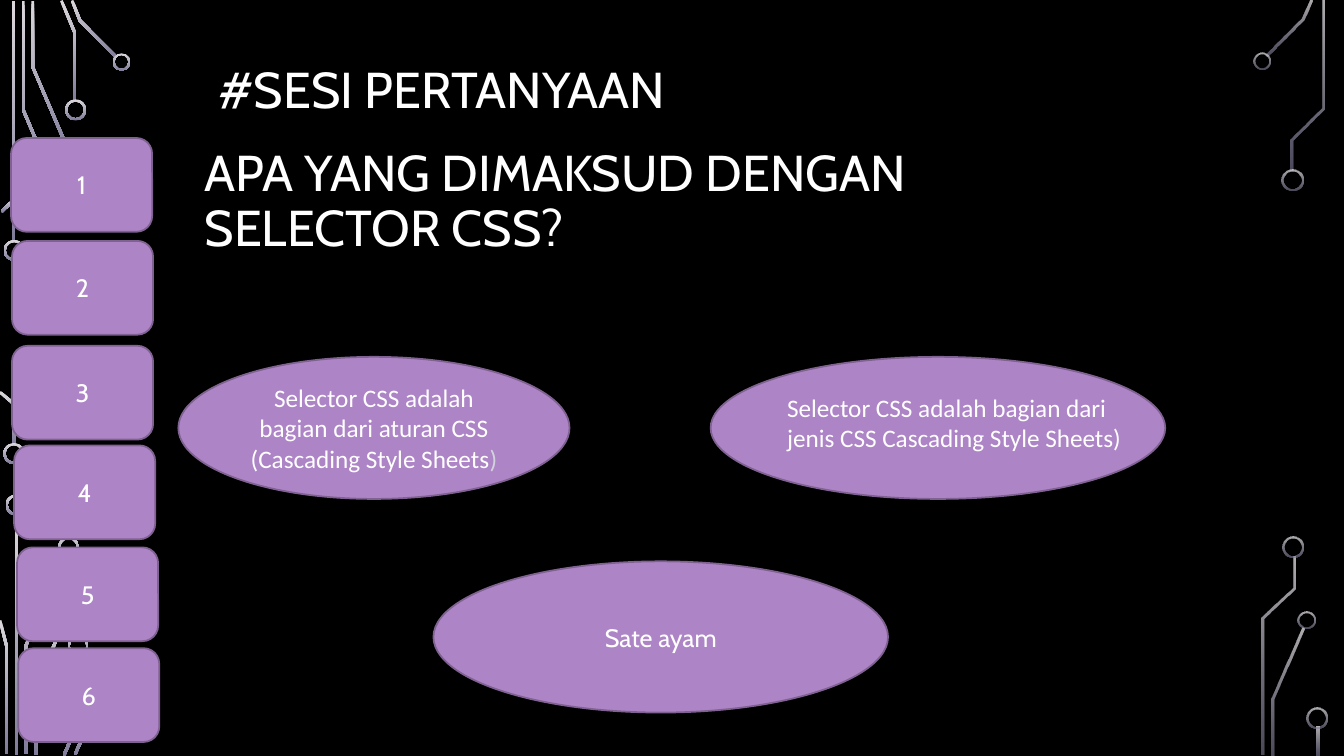
import math
from lxml import etree
from pptx import Presentation
from pptx.dml.color import RGBColor
from pptx.enum import shapes as es, text as et
from pptx.oxml.ns import qn
from pptx.util import Pt

HUES = dict(back="000000", fill="AD84C6", edge="806292", text="FFFFFF",
            pale="D1D5DB", light="DCD8DC", dark="7F7B9A")
KIND = es.MSO_SHAPE
MID, TOP = et.MSO_ANCHOR.MIDDLE, et.MSO_ANCHOR.TOP
LEFT, CENTER = et.PP_ALIGN.LEFT, et.PP_ALIGN.CENTER

TITLE = "APA YANG DIMAKSUD DENGAN SELECTOR CSS?"
HEAD = "#SESI PERTANYAAN"
WRONG = "Selector CSS adalah bagian dari jenis CSS Cascading Style Sheets)"
RIGHT = "Selector CSS adalah bagian dari aturan CSS (Cascading Style Sheets"
BUTTONS = [(7.9, 98.6), (8.6, 172.1), (8.6, 247), (10.1, 318.2), (12.2, 391), (13, 463)]
OVALS = [
    ((127.4, 254.9, 279.4, 101.5), [(RIGHT, "text"), (")", "pale")], "Calibri"),
    ((507.6, 254.9, 324.7, 101.5), [], "Calibri"),
    ((309.6, 401, 324.7, 108), [("Sate ayam", "text")], "Cabin"),
]
CIRCUITS = [
    (None, [
        [(9.7, 0.7), (9.7, 172.8)],
        [(16.6, 0.7), (16.6, 78.5), (43.9, 143)],
        [(23.4, 0.7), (23.4, 47.9), (51.1, 112.7)],
        [(43.9, 0.4), (53.6, 23.8), (53.6, 72)],
        [(51.5, 0.4), (57.2, 14.8), (83.2, 41)],
        [(1.1, 151.2), (10.1, 142.6)],
        [(0, 280.1), (10.1, 288.7), (10.1, 317.5)],
        [(11.9, 367.2), (11.9, 539.3)],
        [(18.4, 538.6), (18.4, 461.5), (45.7, 397.1)],
        [(4.7, 538.6), (4.7, 461.5), (0, 443.2)],
        [(25.6, 539.3), (25.6, 491.4), (52.9, 427.3)],
        [(45.7, 539.6), (55.8, 516.2), (55.8, 468)],
        [(53.6, 538.9), (59.8, 524.9), (85, 499)],
    ], [
        (10.1, 178.9, 15), (9.9, 324, 15), (54, 78.5, 15), (86.8, 44.3, 12.4),
        (11.5, 360.7, 15), (49, 391, 15), (55.8, 461.5, 15),
    ]),
    ((80, 60), [
        [(905, 40), (930.6, 14), (936.4, 0.4)],
        [(909, 539.3), (909, 499.3), (931, 448.9)],
        [(945, 0.7), (945, 77.4), (923, 99.7), (923, 121.7)],
        [(901.8, 539.3), (901.8, 441.7), (924.1, 420.1), (924.1, 397.4)],
        [(941.4, 519.1), (941.4, 539.3)],
    ], [
        (901.4, 43.6, 12.4), (923.2, 128.9, 15), (933.3, 442.8, 12.4),
        (923.8, 391, 15), (940.7, 512.6, 15),
    ]),
]
TRACE = 2

deck = Presentation()
deck.slide_width, deck.slide_height = Pt(960), Pt(540)
slide = deck.slides.add_slide(deck.slide_layouts[5])
slide.background.fill.solid()


def tint(name):
    return RGBColor.from_string(HUES[name])


slide.background.fill.fore_color.rgb = tint("back")


def write(shape, runs, face="Cabin", size=18, align=LEFT, anchor=MID, space=None):
    frame = shape.text_frame
    look = dict(word_wrap=True, vertical_anchor=anchor, auto_size=et.MSO_AUTO_SIZE.NONE,
                margin_left=Pt(7.2), margin_right=Pt(7.2),
                margin_top=Pt(3.6), margin_bottom=Pt(3.6))
    for key, value in look.items():
        setattr(frame, key, value)
    para = frame.paragraphs[0]
    para.alignment = align
    if space:
        para.line_spacing = space
    for words, hue in runs:
        run = para.add_run()
        run.text = words
        for key, value in dict(name=face, size=Pt(size)).items():
            setattr(run.font, key, value)
        run.font.color.rgb = tint(hue)


def panel(kind, box, runs, face="Cabin"):
    shape = slide.shapes.add_shape(kind, *map(Pt, box))
    shape.shadow.inherit = False
    shape.fill.solid()
    shape.fill.fore_color.rgb = tint("fill")
    shape.line.color.rgb = tint("edge")
    shape.line.width = Pt(1.25)
    if runs:
        write(shape, runs, face, align=CENTER)


def shade(shape, alphas):
    shape.shadow.inherit = False
    shape.line.fill.background()
    shape.fill.gradient()
    shape.fill.gradient_angle = 270
    for stop, hue, place in zip(shape.fill.gradient_stops, ("light", "dark"), (0, 1)):
        stop.color.rgb = tint(hue)
        stop.position = place
    if alphas:
        hues = shape._element.spPr.iter(qn("a:srgbClr"))
        for node, alpha in zip(hues, alphas):
            etree.SubElement(node, qn("a:alpha")).set("val", str(alpha * 1000))


def edge(path, reach):
    angles = [math.atan2(d - b, c - a) for (a, b), (c, d) in zip(path, path[1:])]
    points = []
    for (x, y), one, two in zip(path, angles[:1] + angles, angles + angles[-1:]):
        turn = (two - one + math.pi) % math.tau - math.pi
        far, way = reach / math.cos(turn / 2), one + turn / 2
        points.append((x - far * math.sin(way), y + far * math.cos(way)))
    return points


def trace(path, alphas):
    points = edge(path, TRACE / 2) + edge(path, -TRACE / 2)[::-1]
    points = [(round(x * 100), round(y * 100)) for x, y in points]
    form = slide.shapes.build_freeform(*points[0], scale=Pt(1) / 100)
    form.add_line_segments(points[1:], close=True)
    shade(form.convert_to_shape(), alphas)


def ring(x, y, size, alphas):
    box = (x - size / 2, y - size / 2, size, size)
    shape = slide.shapes.add_shape(KIND.DONUT, *map(Pt, box))
    shape.adjustments[0] = 0.1
    shade(shape, alphas)


def label(box, words, **style):
    write(slide.shapes.add_textbox(*map(Pt, box)), [(words, "text")], **style)


for alphas, paths, rings in CIRCUITS:
    for path in paths:
        trace(path, alphas)
    for spot in rings:
        ring(*spot, alphas)

for number, (x, y) in enumerate(BUTTONS, 1):
    panel(KIND.ROUNDED_RECTANGLE, (x, y, 100.8, 67), [(str(number), "text")])

title = slide.shapes.title
for key, value in dict(left=139, top=102.2, width=682.6, height=101.5).items():
    setattr(title, key, Pt(value))
write(title, [(TITLE, "text")], size=36, anchor=TOP, space=0.9)
label((149, 7.2, 779.8, 116.6), HEAD, size=36, space=0.9)

for box, runs, face in OVALS:
    panel(KIND.OVAL, box, runs, face)
label((555.1, 276.5, 257, 51), WRONG, face="Calibri", anchor=TOP)

deck.save("out.pptx")
